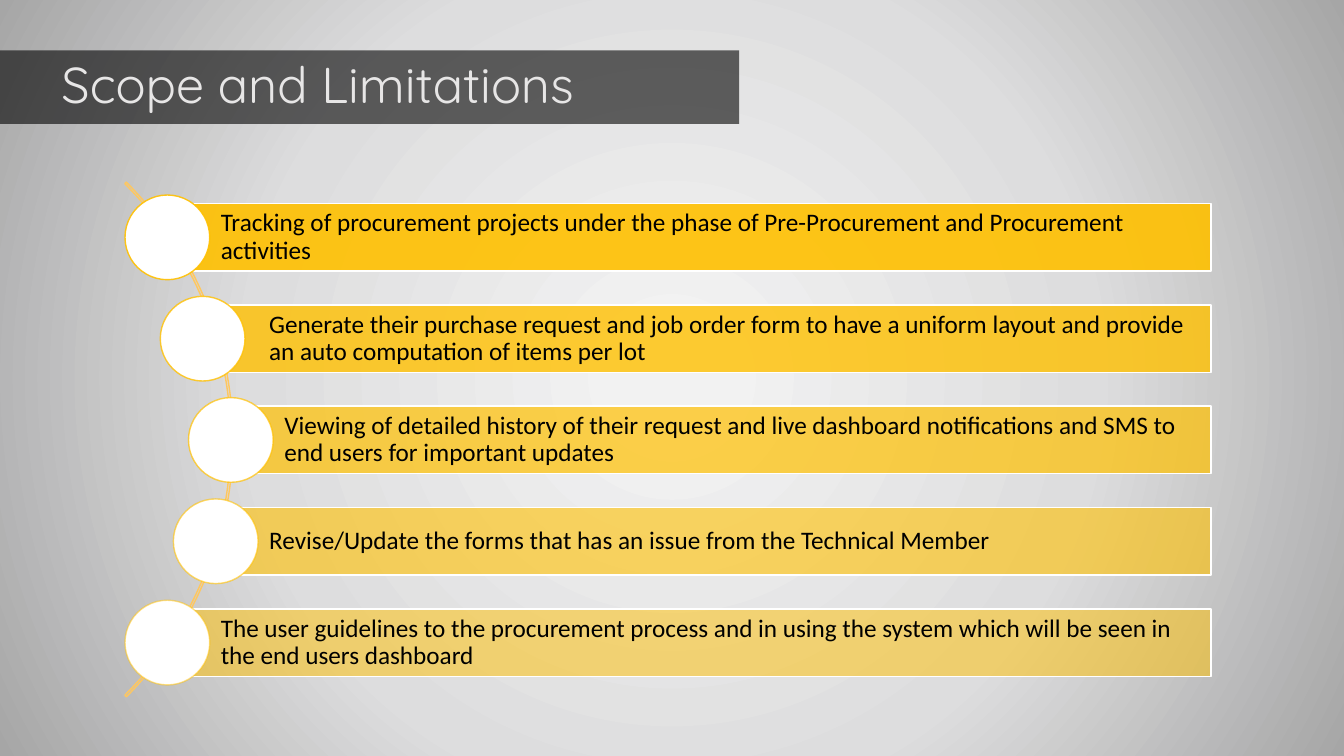
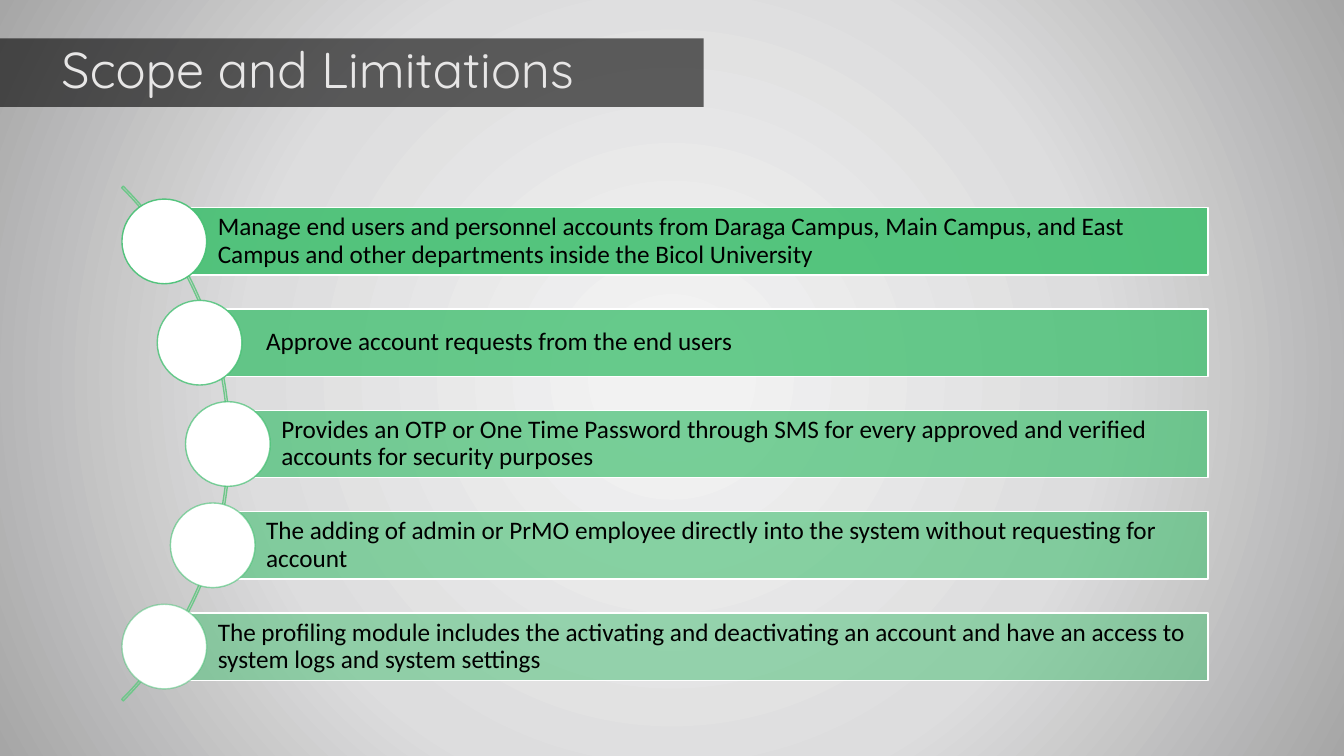
"""Build two scope slides, each with a title band and a curved list of bars."""
from dataclasses import dataclass

from pptx import Presentation
from pptx.dml.color import RGBColor
from pptx.enum import shapes, text
from pptx.oxml import ns, parse_xml
from pptx.util import Inches, Pt

BLACK = RGBColor(0x00, 0x00, 0x00)
WHITE = RGBColor(0xFF, 0xFF, 0xFF)
PALE = RGBColor(0xE7, 0xE6, 0xE6)
GOLD = RGBColor(0xFF, 0xC0, 0x00)
AMBER = RGBColor(0xFF, 0xC7, 0x5E)
GREEN = RGBColor(0x44, 0xC0, 0x72)
MINT = RGBColor(0x6D, 0xC7, 0x89)
GLOW = (
    (6, RGBColor(0xF2, 0xF2, 0xF2)),
    (55, RGBColor(0xDD, 0xDD, 0xDE)),
    (100, RGBColor(0xA6, 0xA6, 0xA6)),
)

TITLE = "Scope and Limitations"
STEP = 1.005
BAR_H = 0.67
DOT = 0.84
ARC = 7.22
SPAN = 10.77
BAR_DX = (0.42, 0.9, 1.05, 0.9, 0.42)
DOT_DX = (0, 0.35, 0.63, 0.48, 0)


@dataclass(frozen=True)
class Band:
    """Top, width and height of a title band."""

    top: float
    width: float
    height: float


@dataclass(frozen=True)
class Page:
    """Content, colours and list origin of one slide."""

    band: Band
    left: float
    top: float
    main: RGBColor
    curve: RGBColor
    items: tuple[str, ...]


PAGES = (
    Page(Band(0.5, 7.33, 0.73), 1.24, 2.02, GOLD, AMBER, (
        "Tracking of procurement projects under the phase of Pre-Procurement"
        " and Procurement activities",
        "Generate their purchase request and job order form to have a uniform"
        " layout and provide an auto computation of items per lot",
        "Viewing of detailed history of their request and live dashboard"
        " notifications and SMS to end users for important updates",
        "Revise/Update the forms that has an issue from the Technical Member",
        "The user guidelines to the procurement process and in using the system"
        " which will be seen in the end users dashboard",
    )),
    Page(Band(0.38, 6.98, 0.68), 1.21, 2.06, GREEN, MINT, (
        "Manage end users and personnel accounts from Daraga Campus, Main Campus,"
        " and East Campus and other departments inside the Bicol University",
        "Approve account requests from the end users",
        "Provides an OTP or One Time Password through SMS for every approved"
        " and verified accounts for security purposes",
        "The adding of admin or PrMO employee directly into the system without"
        " requesting for account",
        "The profiling module includes the activating and deactivating an account"
        " and have an access to system logs and system settings",
    )),
)


def fade(shape, part: str, alpha: int) -> None:
    """Set the opacity in percent of a shape's fill or line colour."""
    tint = shape.element.spPr.xpath(f"./{part}/a:srgbClr")[0]
    tint.append(parse_xml(f'<a:alpha {ns.nsdecls("a")} val="{alpha * 1000}"/>'))


def light(master) -> None:
    """Give the master a radial grey background."""
    master.background.fill.gradient()
    stops = "".join(
        f'<a:gs pos="{spot * 1000}"><a:srgbClr val="{tint}"/></a:gs>'
        for spot, tint in GLOW
    )
    old = next(master.element.iter(ns.qn("a:gradFill")))
    old.getparent().replace(old, parse_xml(
        f'<a:gradFill {ns.nsdecls("a")}><a:gsLst>{stops}</a:gsLst>'
        '<a:path path="circle"><a:fillToRect l="50000" t="50000" r="50000"'
        ' b="50000"/></a:path></a:gradFill>'
    ))


def write(shape, words: str, face: str, size: int, tint: RGBColor, inset: float) -> None:
    """Write left-aligned, vertically centred text in a shape."""
    frame = shape.text_frame
    frame.word_wrap = True
    frame.auto_size = text.MSO_AUTO_SIZE.NONE
    frame.vertical_anchor = text.MSO_ANCHOR.MIDDLE
    frame.margin_left = Inches(inset)
    frame.margin_right = frame.margin_top = frame.margin_bottom = Inches(0.05)
    para = frame.paragraphs[0]
    para.alignment = text.PP_ALIGN.LEFT
    para.line_spacing = 0.9
    run = para.add_run()
    run.text = words
    run.font.name = face
    run.font.size = Pt(size)
    run.font.color.rgb = tint


def draw(group, kind, left: float, top: float, width: float, height: float,
         fill: RGBColor | None, line: RGBColor):
    """Add a flat outlined shape to a group."""
    shape = group.shapes.add_shape(
        kind, Inches(left), Inches(top), Inches(width), Inches(height))
    shape.shadow.inherit = False
    if fill is None:
        shape.fill.background()
    else:
        shape.fill.solid()
        shape.fill.fore_color.rgb = fill
    shape.line.color.rgb = line
    shape.line.width = Pt(1)
    return shape


def head(slide, band: Band) -> None:
    """Place the title on its dark band."""
    title = slide.shapes.title
    title.left, title.top = Inches(0), Inches(band.top)
    title.width, title.height = Inches(band.width), Inches(band.height)
    title.fill.solid()
    title.fill.fore_color.rgb = BLACK
    fade(title, "a:solidFill", 60)
    write(title, TITLE, "Quicksand", 36, PALE, 0.61)


def fan(slide, page: Page) -> None:
    """Draw the arc with its bars and dots."""
    kinds = shapes.MSO_SHAPE
    group = slide.shapes.add_group_shape()
    arc = draw(group, kinds.BLOCK_ARC, page.left - 6.15, page.top - 1.27,
               ARC, ARC, None, page.curve)
    for slot, turn in enumerate((189, 27, 0.003)):
        arc.adjustments[slot] = turn
    rows = zip(page.items, BAR_DX, DOT_DX)
    for row, (words, shift, move) in enumerate(rows):
        top = page.top + row * STEP
        alpha = 90 - 10 * row
        bar = draw(group, kinds.RECTANGLE, page.left + shift, top,
                   SPAN - shift, BAR_H, page.main, WHITE)
        fade(bar, "a:solidFill", alpha)
        write(bar, words, "Calibri", 18, BLACK, 0.53)
        dot = draw(group, kinds.OVAL, page.left + move, top - (DOT - BAR_H) / 2,
                   DOT, DOT, WHITE, page.main)
        fade(dot, "a:ln/a:solidFill", alpha)


def main() -> None:
    """Build and save the deck."""
    deck = Presentation()
    deck.slide_width, deck.slide_height = Inches(13.33), Inches(7.5)
    light(deck.slide_master)
    for page in PAGES:
        slide = deck.slides.add_slide(deck.slide_layouts.get_by_name("Title Only"))
        head(slide, page.band)
        fan(slide, page)
    deck.save("out.pptx")


if __name__ == "__main__":
    main()
